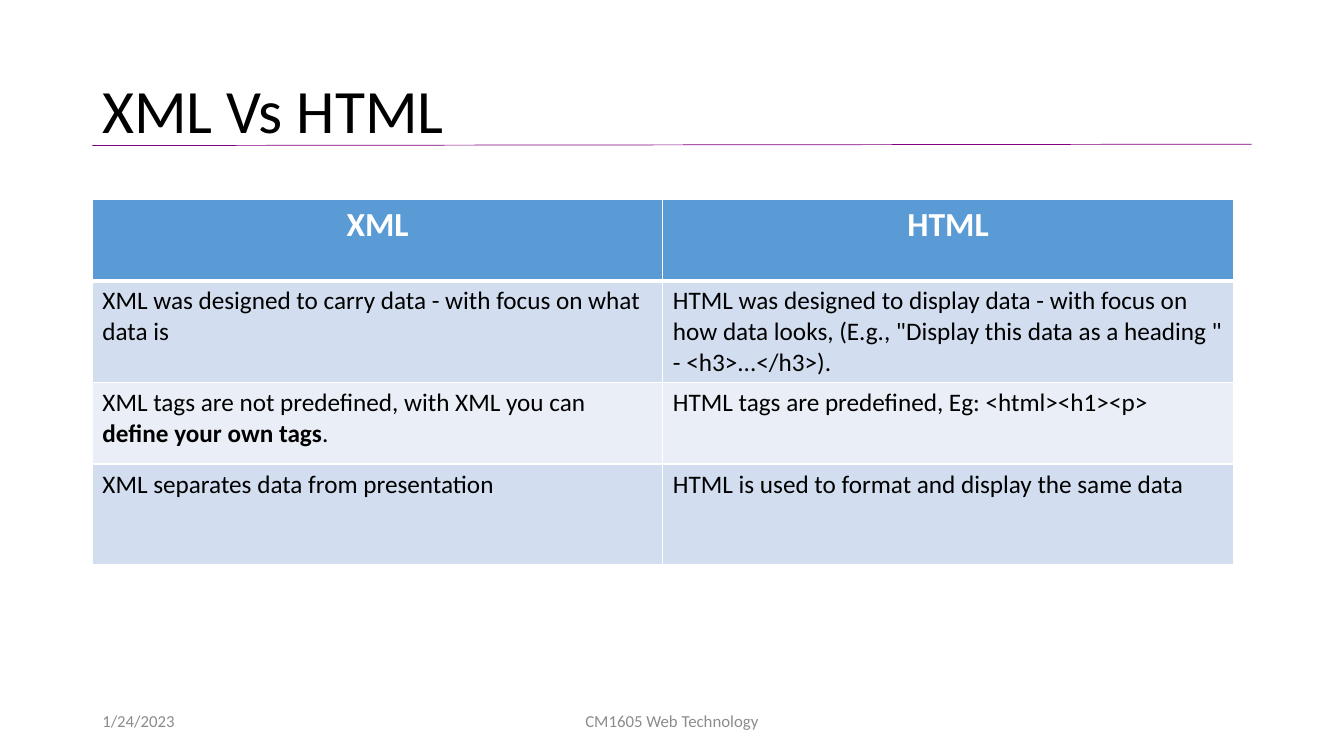
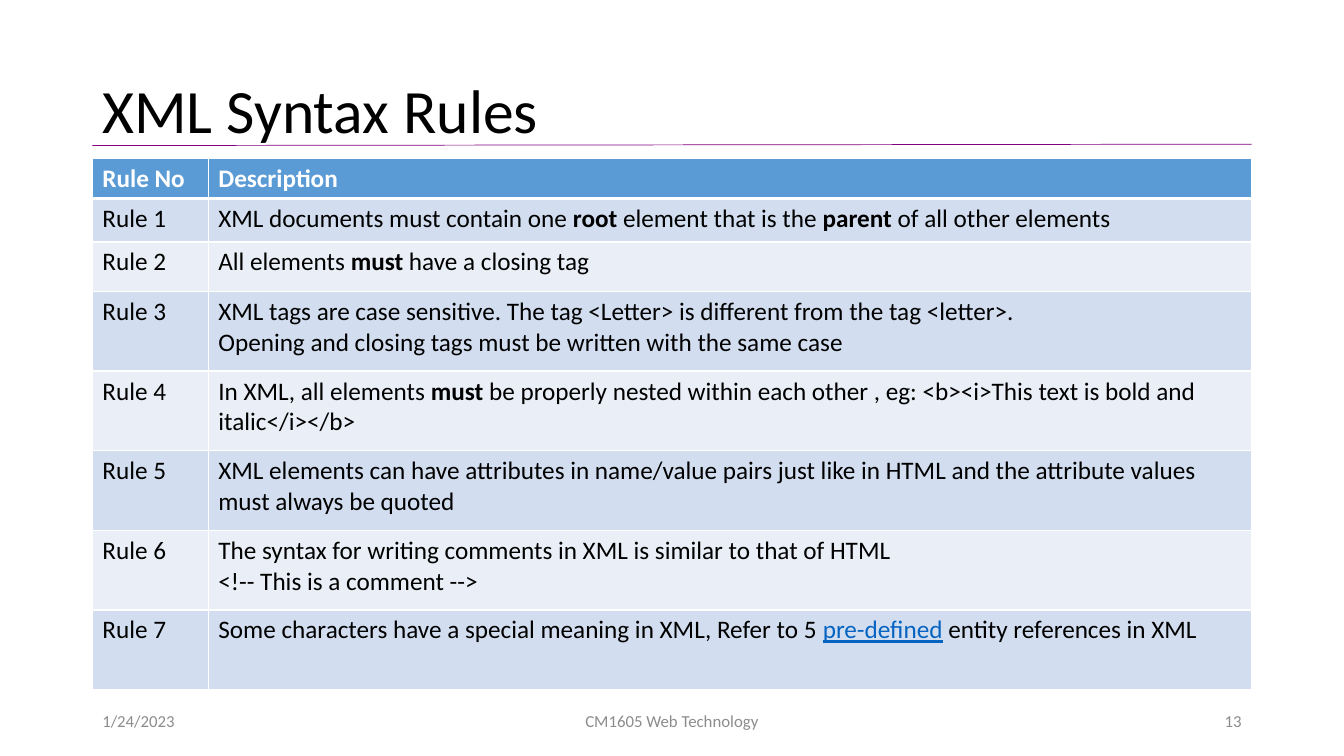
"""Build two slides on XML: a comparison with HTML and its syntax rules."""
from dataclasses import dataclass
from typing import NamedTuple, Optional

from lxml.etree import SubElement
from pptx import Presentation
from pptx.dml.color import RGBColor
from pptx.enum.shapes import MSO_CONNECTOR
from pptx.enum.text import MSO_ANCHOR, PP_ALIGN
from pptx.oxml.ns import qn
from pptx.util import Pt


@dataclass(frozen=True)
class Theme:
    font: str = "Calibri"
    text: str = "000000"
    muted: str = "8C8C8C"
    rule: str = "800080"
    link: str = "0563C1"
    header: str = "5B9BD5"
    bands: tuple[str, str] = ("D2DEEF", "EAEFF7")
    white: str = "FFFFFF"
    title_size: float = 44
    heading_size: float = 24
    body_size: float = 18
    footer_size: float = 12
    left: float = 66
    width: float = 828
    footer_top: float = 500.5
    footer_height: float = 28.8


THEME = Theme()


class Run(NamedTuple):
    text: str
    bold: bool = False
    link: bool = False


Line = tuple[Run, ...]
Cell = tuple[Line, ...]


class Footer(NamedTuple):
    text: str
    left: float
    width: float
    align: PP_ALIGN


@dataclass(frozen=True)
class Grid:
    top: float
    columns: tuple[float, ...]
    heights: tuple[float, ...]
    headings: tuple[str, ...]
    rows: tuple[tuple[Cell, ...], ...]
    heading_size: float = THEME.body_size
    heading_align: PP_ALIGN = PP_ALIGN.LEFT


@dataclass(frozen=True)
class Page:
    title: str
    grid: Grid
    number: Optional[str] = None


def plain(*lines: str) -> Cell:
    return tuple((Run(line),) for line in lines)


def rich(*runs: Run) -> Cell:
    return (runs,)


RULES = (
    rich(Run("XML documents must contain one "), Run("root", bold=True),
         Run(" element that is the "), Run("parent", bold=True),
         Run(" of all other elements")),
    rich(Run("All elements "), Run("must", bold=True),
         Run(" have a closing tag")),
    plain("XML tags are case sensitive. The tag <Letter> is different from the tag <letter>.",
          "Opening and closing tags must be written with the same case"),
    rich(Run("In XML, all elements "), Run("must", bold=True),
         Run(" be properly nested within each other , eg: "
             "<b><i>This text is bold and italic</i></b>")),
    plain("XML elements can have attributes in name/value pairs just like in HTML "
          "and the attribute values must always be quoted"),
    plain("The syntax for writing comments in XML is similar to that of HTML",
          "<!-- This is a comment -->"),
    rich(Run("Some characters have a special meaning in XML, Refer to 5 "),
         Run("pre-defined", link=True), Run(" entity references in XML")),
)

COMPARISON = (
    (plain("XML was designed to carry data - with focus on what data is"),
     plain("HTML was designed to display data - with focus on how data looks, "
           "(E.g., \"Display this data as a heading \" - <h3>...</h3>).")),
    (rich(Run("XML tags are not predefined, with XML you can "),
          Run("define your own tags", bold=True), Run(".")),
     plain("HTML tags are predefined, Eg: <html><h1><p>")),
    (plain("XML separates data from presentation"),
     plain("HTML is used to format and display the same data")),
)

PAGES = (
    Page("XML Vs HTML", Grid(
        142.5, (407.5, 407.5), (58, 73, 58, 72), ("XML", "HTML"), COMPARISON,
        THEME.heading_size, PP_ALIGN.CENTER)),
    Page("XML Syntax Rules", Grid(
        113, (82.8, 745.2), (28, 31, 35.3) + (56.9,) * 5,
        ("Rule No", "Description"),
        tuple((plain(f"Rule {n}"), rule) for n, rule in enumerate(RULES, 1))),
        "13"),
)


def style(p, size: float, color: str, align=PP_ALIGN.LEFT) -> None:
    p.alignment = align
    p.font.name = THEME.font
    p.font.size = Pt(size)
    p.font.color.rgb = RGBColor.from_string(color)


def add_text(slide, text: str, box: tuple[float, float, float, float],
             size: float, color: str, align=PP_ALIGN.LEFT):
    sp = slide.shapes.add_textbox(*map(Pt, box))
    tf = sp.text_frame
    tf.word_wrap = True
    tf.vertical_anchor = MSO_ANCHOR.MIDDLE
    p = tf.paragraphs[0]
    p.add_run().text = text
    style(p, size, color, align)
    return p


def add_frame(slide, page: Page) -> None:
    right = THEME.left + THEME.width
    rule = slide.shapes.add_connector(
        MSO_CONNECTOR.STRAIGHT, Pt(THEME.left), Pt(104), Pt(right), Pt(103))
    rule.line.color.rgb = RGBColor.from_string(THEME.rule)
    rule.line.width = Pt(0.5)
    SubElement(rule._element.spPr, qn("a:effectLst"))
    p = add_text(slide, page.title, (THEME.left, 28.8, THEME.width, 104.4),
                 THEME.title_size, THEME.text)
    p.line_spacing = 0.9
    footers = [Footer("1/24/2023", THEME.left, 216, PP_ALIGN.LEFT),
               Footer("CM1605 Web Technology", 318, 324, PP_ALIGN.CENTER)]
    if page.number:
        footers.append(Footer(page.number, right - 216, 216, PP_ALIGN.RIGHT))
    for f in footers:
        add_text(slide, f.text,
                 (f.left, THEME.footer_top, f.width, THEME.footer_height),
                 THEME.footer_size, THEME.muted, f.align)


def format_cell(cell, fill: str, top: float, bottom: float) -> None:
    tcPr = cell._tc.get_or_add_tcPr()
    for side, width in (("L", 1), ("R", 1), ("T", top), ("B", bottom)):
        ln = SubElement(tcPr, qn(f"a:ln{side}"), w=str(int(Pt(width))))
        SubElement(SubElement(ln, qn("a:solidFill")), qn("a:srgbClr"),
                   val=THEME.white)
    cell.fill.solid()
    cell.fill.fore_color.rgb = RGBColor.from_string(fill)


def fill_cell(cell, content: Cell, size: float, color: str, align) -> None:
    tf = cell.text_frame
    for i, line in enumerate(content):
        p = tf.add_paragraph() if i else tf.paragraphs[0]
        style(p, size, color, align)
        for run in line:
            r = p.add_run()
            r.text = run.text
            r.font.bold = run.bold
            if run.link:
                r.font.underline = True
                r.font.color.rgb = RGBColor.from_string(THEME.link)


def add_grid(slide, grid: Grid) -> None:
    headings = tuple(rich(Run(h, bold=True)) for h in grid.headings)
    rows = (headings,) + grid.rows
    table = slide.shapes.add_table(
        len(rows), len(grid.columns), Pt(THEME.left), Pt(grid.top),
        Pt(sum(grid.columns)), Pt(sum(grid.heights))).table
    for column, width in zip(table.columns, grid.columns):
        column.width = Pt(width)
    for i, (row, height) in enumerate(zip(rows, grid.heights)):
        table.rows[i].height = Pt(height)
        for j, content in enumerate(row):
            cell = table.cell(i, j)
            if i == 0:
                format_cell(cell, THEME.header, 1, 3)
                fill_cell(cell, content, grid.heading_size, THEME.white,
                          grid.heading_align)
            else:
                format_cell(cell, THEME.bands[(i - 1) % 2], 3 if i == 1 else 1, 1)
                fill_cell(cell, content, THEME.body_size, THEME.text,
                          PP_ALIGN.LEFT)


def main() -> None:
    prs = Presentation()
    prs.slide_width, prs.slide_height = Pt(960), Pt(540)
    for page in PAGES:
        s = prs.slides.add_slide(prs.slide_layouts[6])
        add_frame(s, page)
        add_grid(s, page.grid)
    prs.save("out.pptx")


if __name__ == "__main__":
    main()
